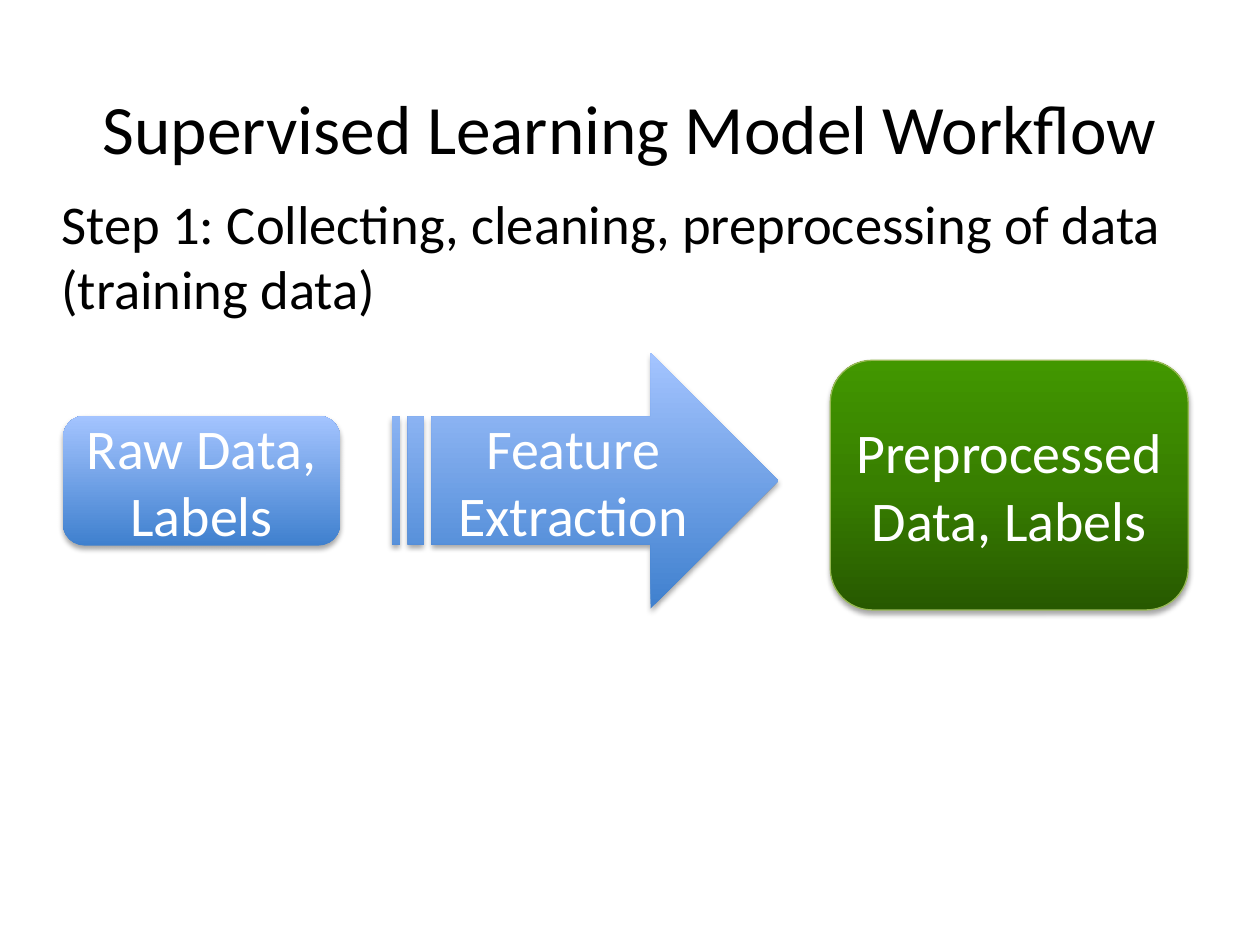
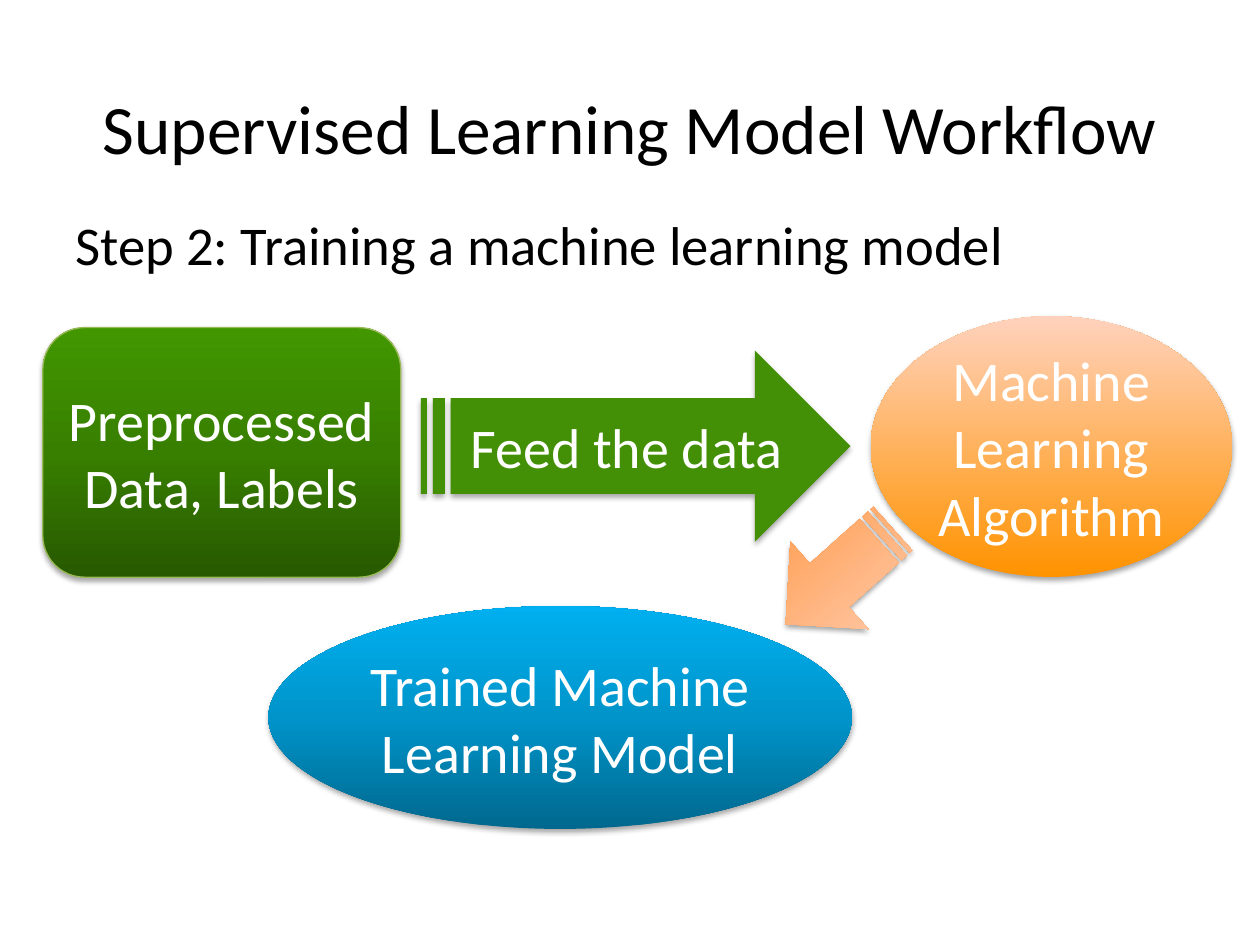
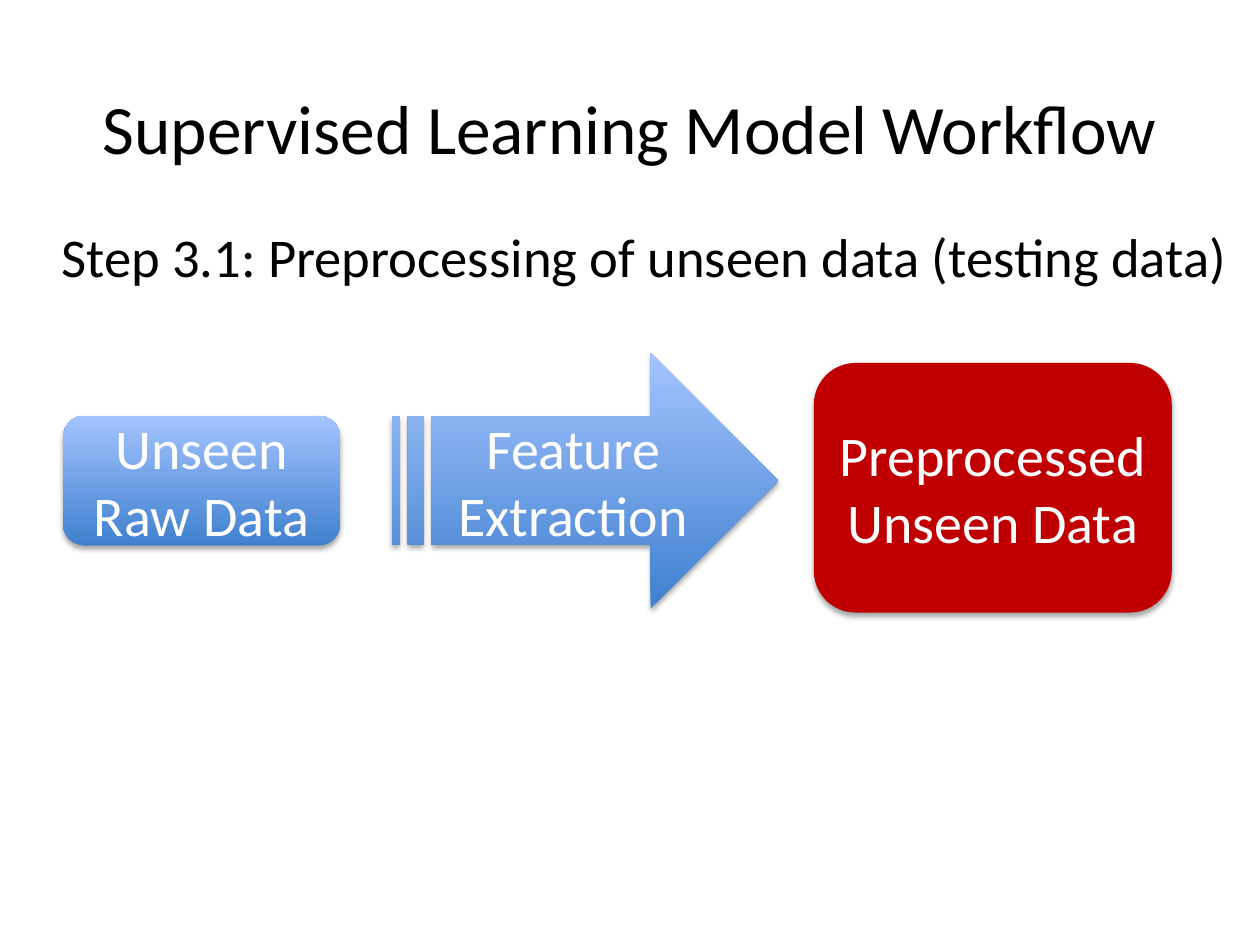
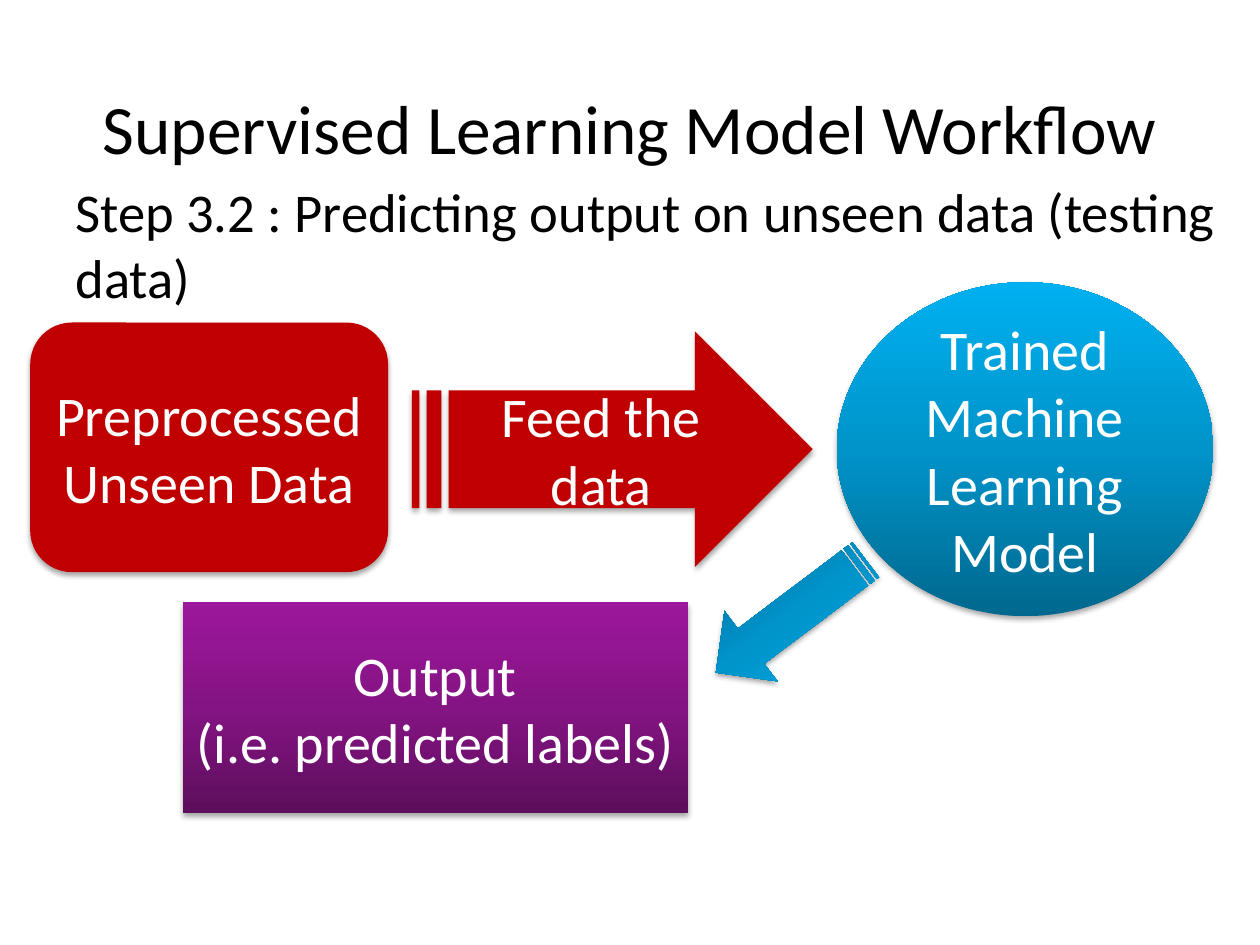
from dataclasses import dataclass

from lxml import etree
from pptx import Presentation
from pptx.dml.color import RGBColor
from pptx.enum.shapes import MSO_SHAPE
from pptx.enum.text import MSO_ANCHOR, PP_ALIGN
from pptx.oxml import parse_xml
from pptx.oxml.ns import nsdecls, qn
from pptx.util import Pt

ROUNDED = MSO_SHAPE.ROUNDED_RECTANGLE
RECTANGLE = MSO_SHAPE.RECTANGLE
OVAL = MSO_SHAPE.OVAL
ARROW = MSO_SHAPE.STRIPED_RIGHT_ARROW
MIDDLE = MSO_ANCHOR.MIDDLE
LEFT, CENTER = PP_ALIGN.LEFT, PP_ALIGN.CENTER


@dataclass(frozen=True)
class Theme:
    font: str = "Calibri"
    title_size: float = 39.6
    caption_size: float = 31.2
    label_size: float = 32
    ink: str = "000000"
    label: str = "FFFFFF"
    outline: str = "98B955"
    blue: tuple = ("3F80CE", "A4C4FF")
    green: tuple = ("275900", "387F00", "429700")
    orange: tuple = ("FF9300", "FFD2BD")
    peach: tuple = ("FF953E", "FFD2BD")
    azure: tuple = ("00688E", "0094CA", "00B0F0")
    purple: tuple = ("5D0E5C", "841483", "9D179C")
    leaf: tuple = ("439007",)
    red: tuple = ("C00000",)


THEME = Theme()
SLIDE_SIZE = (720, 540)
TITLE = "Supervised Learning Model Workflow"
TITLE_BOX = (36, 27.4, 648, 90)
CAPTION_SIZE = (683.3, 90)
PREPROCESS_CAPTION = (28, 100.8)
MODEL_CAPTION = (36, 94.3)
RAW_BOX = (36, 237.6, 158.4, 74.2)
EXTRACTION_BOX = (223.9, 201.6, 221, 146.2)
DATA_SIZE = (204.5, 142.6)


def part(kind, text, box, colors, outline=None, rotation=0):
    return dict(kind=kind, text=text, box=box, colors=colors,
                outline=outline, rotation=rotation)


def raw_data(text):
    return part(ROUNDED, text, RAW_BOX, THEME.blue)


def training_data(left, top):
    return part(ROUNDED, "Preprocessed Data, Labels", (left, top, *DATA_SIZE),
                THEME.green, THEME.outline)


def unseen_data(left, top):
    return part(ROUNDED, "Preprocessed Unseen Data", (left, top, *DATA_SIZE),
                THEME.red)


def trained_model(box):
    return part(OVAL, "Trained Machine Learning Model", box, THEME.azure)


EXTRACTION = part(ARROW, "Feature Extraction", EXTRACTION_BOX, THEME.blue)

SLIDES = [
    ("Step 1: Collecting, cleaning, preprocessing of data (training data)",
     PREPROCESS_CAPTION,
     [raw_data("Raw Data, Labels"), EXTRACTION, training_data(474.5, 205.9)]),
    ("Step 2: Training a machine learning model",
     MODEL_CAPTION,
     [training_data(24.5, 187.2),
      part(OVAL, "Machine Learning Algorithm", (497.5, 180.7, 206.6, 149),
           THEME.orange),
      part(ARROW, "Feed the data", (240.5, 200.2, 245.5, 109.4), THEME.leaf),
      part(ARROW, "", (438.5, 295.9, 82.1, 67), THEME.peach, rotation=138.3),
      trained_model((153.4, 346.3, 333.4, 127.4))]),
    ("Step 3.1: Preprocessing of unseen data (testing data)",
     PREPROCESS_CAPTION,
     [raw_data("Unseen Raw Data"), EXTRACTION, unseen_data(465.1, 207.4)]),
    ("Step 3.2 : Predicting output on unseen data (testing data)",
     MODEL_CAPTION,
     [unseen_data(17.3, 184.3),
      trained_model((478.1, 161.3, 215.3, 190.8)),
      part(ARROW, "Feed the data", (235.4, 189.4, 229, 134.6), THEME.red),
      part(ARROW, "", (398.2, 326.9, 107.3, 50.4), THEME.azure, rotation=143),
      part(RECTANGLE, "Output\n(i.e. predicted labels)",
           (104.4, 344.2, 288.7, 120.2), THEME.purple)]),
]


def points(values):
    return [Pt(value) for value in values]


def write_text(shape, text, size, color, alignment):
    frame = shape.text_frame
    frame.text = text
    frame.word_wrap = True
    frame.vertical_anchor = MIDDLE
    for paragraph in frame.paragraphs:
        paragraph.alignment = alignment
        paragraph.font.name = THEME.font
        paragraph.font.size = Pt(size)
        paragraph.font.color.rgb = RGBColor.from_string(color)


def paint(shape, colors):
    if len(colors) == 1:
        shape.fill.solid()
        shape.fill.fore_color.rgb = RGBColor.from_string(colors[0])
        return
    shape.fill.gradient()
    shape.fill.gradient_angle = 90
    stops = next(shape._element.spPr.iter(qn("a:gsLst")))
    for stop in list(stops):
        stops.remove(stop)
    for index, color in enumerate(colors):
        position = 100000 * index // (len(colors) - 1)
        stop = etree.SubElement(stops, qn("a:gs"), pos=str(position))
        etree.SubElement(stop, qn("a:srgbClr"), val=color)


def cast_shadow(shape):
    shape.shadow.inherit = False
    effects = shape._element.spPr.find(qn("a:effectLst"))
    effects.append(parse_xml(
        f'<a:outerShdw {nsdecls("a")} blurRad="{Pt(3.1)}" dist="{Pt(1.8)}" '
        'dir="5400000" rotWithShape="0"><a:srgbClr val="000000">'
        '<a:alpha val="35000"/></a:srgbClr></a:outerShdw>'))


def add_part(slide, kind, text, box, colors, outline, rotation):
    shape = slide.shapes.add_shape(kind, *points(box))
    shape.rotation = rotation
    paint(shape, colors)
    if outline:
        shape.line.color.rgb = RGBColor.from_string(outline)
        shape.line.width = Pt(0.75)
    else:
        shape.line.fill.background()
    cast_shadow(shape)
    if text:
        write_text(shape, text, THEME.label_size, THEME.label, CENTER)


def add_slide(presentation, caption, caption_place, parts):
    slide = presentation.slides.add_slide(presentation.slide_layouts[5])
    title = slide.shapes.title
    title.left, title.top, title.width, title.height = points(TITLE_BOX)
    write_text(title, TITLE, THEME.title_size, THEME.ink, CENTER)
    for item in parts:
        add_part(slide, **item)
    caption_box = slide.shapes.add_textbox(*points(caption_place + CAPTION_SIZE))
    write_text(caption_box, caption, THEME.caption_size, THEME.ink, LEFT)


def main():
    presentation = Presentation()
    presentation.slide_width, presentation.slide_height = points(SLIDE_SIZE)
    for content in SLIDES:
        add_slide(presentation, *content)
    presentation.save("out.pptx")


if __name__ == "__main__":
    main()
